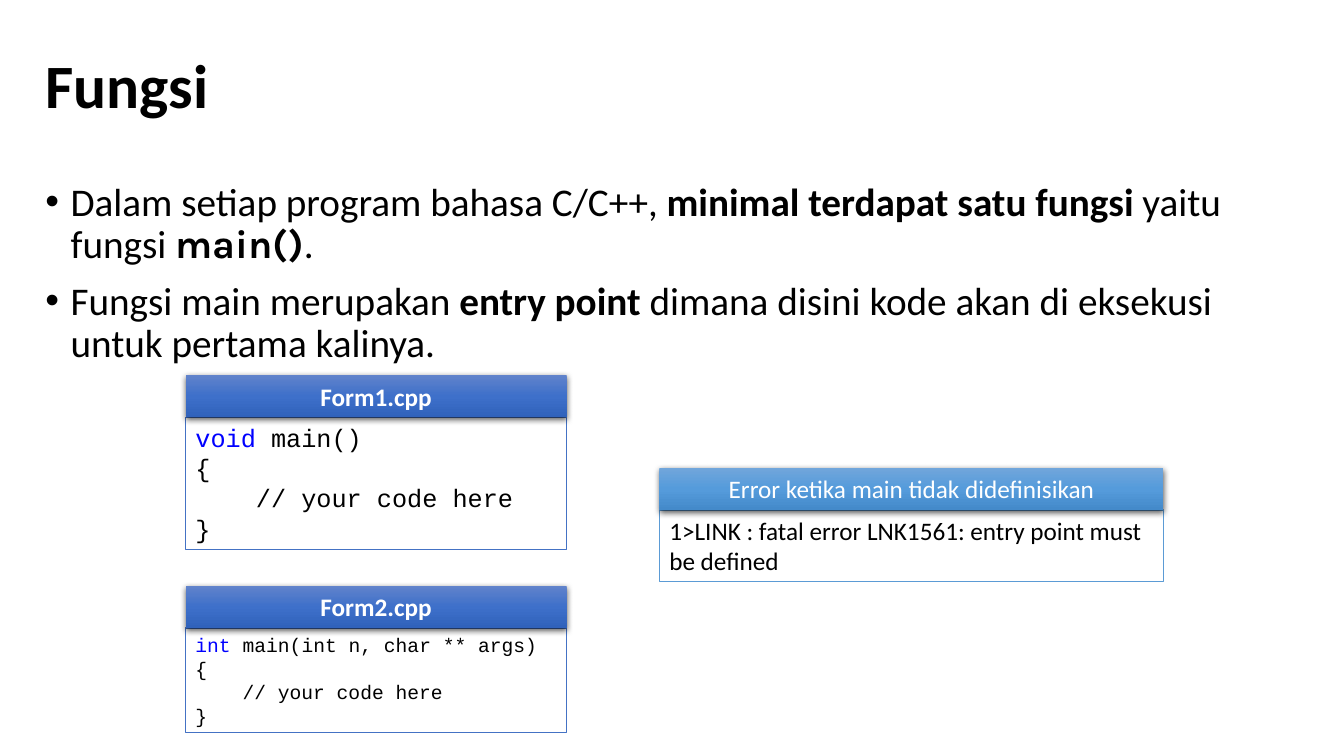
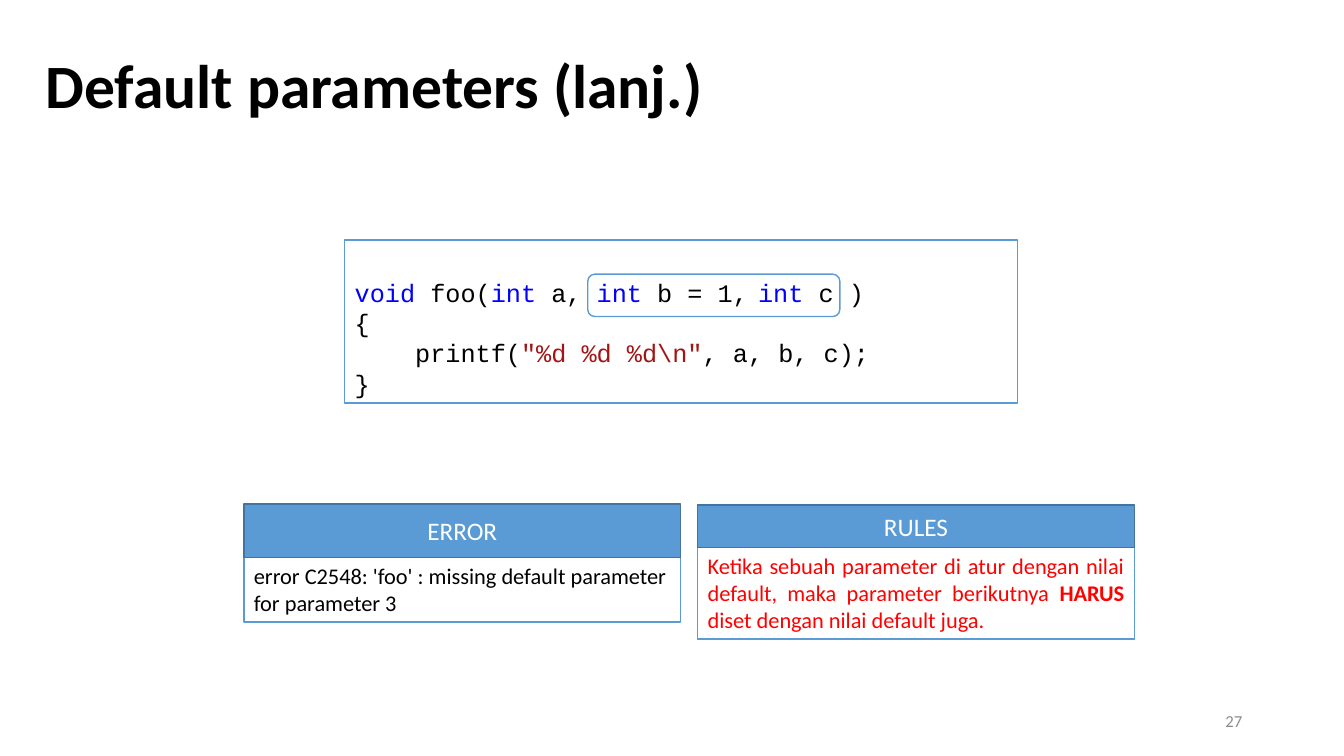
"""Builds two slides on C++ functions: the main function and default parameters."""
from pptx import Presentation
from pptx import util as u
from pptx.dml.color import RGBColor
from pptx.enum import shapes, text
from pptx.oxml import parse_xml
from pptx.oxml.ns import nsdecls, qn

COLORS = {
    "ink": "000000", "white": "FFFFFF", "keyword": "0000FF", "string": "A31515",
    "alert": "FF0000", "number": "8C8C8C", "indigo": "4472C4", "sky": "5B9BD5",
    "sky_edge": "43739E",
}
GRADIENTS = {
    "indigo": ("6183CB", "3E70CA", "3062BB"),
    "sky": ("71A6DB", "559BDB", "448ACA"),
}
STYLES = {
    "plain": {},
    "bold": {"bold": True},
    "mono": {"name": "Karla", "bold": True},
    "code": {"name": "Courier New"},
    "keyword": {"name": "Courier New", "color": "keyword"},
    "string": {"name": "Courier New", "color": "string"},
    "white": {"color": "white"},
    "white_bold": {"color": "white", "bold": True},
    "alert": {"color": "alert"},
    "alert_bold": {"color": "alert", "bold": True},
    "number": {"color": "number"},
}
LEFT, CENTER, RIGHT, JUSTIFY = (
    text.PP_ALIGN.LEFT, text.PP_ALIGN.CENTER, text.PP_ALIGN.RIGHT, text.PP_ALIGN.JUSTIFY)
TOP, MIDDLE, BOTTOM = (
    text.MSO_ANCHOR.TOP, text.MSO_ANCHOR.MIDDLE, text.MSO_ANCHOR.BOTTOM)
RECTANGLE = shapes.MSO_SHAPE.RECTANGLE

MAIN_POINTS = [
    [("Dalam setiap program bahasa C/C++, ", "plain"),
     ("minimal terdapat satu fungsi", "bold"), (" yaitu fungsi ", "plain"),
     ("main()", "mono"), (".", "plain")],
    [("Fungsi main merupakan ", "plain"), ("entry point ", "bold"),
     ("dimana disini kode akan di eksekusi untuk pertama kalinya.", "plain")],
]
CODE_BODY = [[("{", "code")], [("    // your code here", "code")], [("}", "code")]]
MAIN_PANELS = [
    {"title": ("Form1.cpp", "white_bold"), "at": (1.84, 3.72), "width": 3.78,
     "height": 1.31, "color": "indigo", "size": 18,
     "lines": [[("void", "keyword"), (" main()", "code")]] + CODE_BODY},
    {"title": ("Form2.cpp", "white_bold"), "at": (1.84, 5.81), "width": 3.78,
     "height": 1.04, "color": "indigo", "size": 14,
     "lines": [[("int ", "keyword"), ("main(int n, char ** args)", "code")]] + CODE_BODY},
    {"title": ("Error ketika main tidak didefinisikan", "white"), "at": (6.54, 4.64),
     "width": 5, "height": 0.71, "color": "sky", "size": 18,
     "lines": [[("1>LINK : fatal error LNK1561: entry point must be defined", "plain")]]},
]
FOO_CODE = [
    [("void", "keyword"), (" foo(", "code"), ("int", "keyword"), (" a, ", "code"),
     ("int", "keyword"), (" b = 1,\t", "code"), ("int", "keyword"), (" c )", "code")],
    [("{", "code")],
    [("    printf(", "code"), ('"%d %d %d\\n"', "string"), (", a, b, c);", "code")],
    [("}", "code")],
]
FOO_PANELS = [
    {"title": ("ERROR", "white"), "at": (2.42, 5), "width": 4.33, "header": 0.53,
     "height": 0.64, "color": "sky", "size": 16, "flat": True,
     "lines": [[("error C2548: 'foo' : missing default parameter for parameter 3",
                 "plain")]]},
    {"title": ("RULES", "white"), "at": (6.92, 5.01), "width": 4.33, "height": 0.91,
     "color": "sky", "size": 16, "flat": True, "align": JUSTIFY,
     "lines": [[("Ketika sebuah parameter di atur dengan nilai default, maka parameter "
                 "berikutnya ", "alert"), ("HARUS", "alert_bold"),
                (" diset dengan nilai default juga.", "alert")]]},
]


def rgb(name):
    return RGBColor.from_string(COLORS[name])


def place(shape, *lengths):
    for side, length in zip(("left", "top", "width", "height"), lengths):
        setattr(shape, side, u.Inches(length))


def write(shape, lines, size, align=LEFT, anchor=TOP, spacing=None, gap=0, bullet=False):
    frame = shape.text_frame
    frame.word_wrap = True
    frame.auto_size = text.MSO_AUTO_SIZE.NONE
    frame.vertical_anchor = anchor
    for index, spans in enumerate(lines):
        para = frame.paragraphs[0] if index == 0 else frame.add_paragraph()
        para.alignment = align
        para.line_spacing = spacing
        para.space_before = u.Pt(gap if index else 0)
        if bullet:
            properties = para._p.get_or_add_pPr()
            properties.set("marL", str(u.Inches(0.25)))
            properties.set("indent", str(u.Inches(-0.25)))
            properties.append(parse_xml(f'<a:buChar {nsdecls("a")} char="•"/>'))
        for words, style in spans:
            span = para.add_run()
            span.text = words
            look = {"name": "Calibri", "size": u.Pt(size), "bold": False,
                    "color": "ink", **STYLES[style]}
            span.font.color.rgb = rgb(look.pop("color"))
            for key, value in look.items():
                setattr(span.font, key, value)


def add_box(parent, kind, at, fill=None, line=None):
    box = parent.add_shape(kind, *map(u.Inches, at))
    box.shadow.inherit = False
    if fill:
        box.fill.solid()
        box.fill.fore_color.rgb = rgb(fill)
    else:
        box.fill.background()
    if line:
        box.line.color.rgb = rgb(line)
        box.line.width = u.Pt(1)
    else:
        box.line.fill.background()
    return box


def add_gloss(box, stops):
    """Gives a header its vertical gradient and soft shadow."""
    properties = box._element.spPr
    marks = "".join(f'<a:gs pos="{index * 50000}"><a:srgbClr val="{color}"/></a:gs>'
                    for index, color in enumerate(stops))
    properties.replace(properties.find(qn("a:noFill")), parse_xml(
        f'<a:gradFill {nsdecls("a")} rotWithShape="1"><a:gsLst>{marks}</a:gsLst>'
        '<a:lin ang="5400000" scaled="0"/></a:gradFill>'))
    properties.find(qn("a:effectLst")).append(parse_xml(
        f'<a:outerShdw {nsdecls("a")} blurRad="{u.Pt(4.5)}" dist="{u.Pt(1.5)}" '
        'dir="5400000" algn="ctr" rotWithShape="0"><a:srgbClr val="000000">'
        '<a:alpha val="63000"/></a:srgbClr></a:outerShdw>'))


def add_panel(slide, panel):
    parent = slide.shapes.add_group_shape().shapes
    left, top = panel["at"]
    width, header_height = panel["width"], panel.get("header", 0.42)
    flat = panel.get("flat", False)
    body = add_box(parent, RECTANGLE, (left, top + header_height, width, panel["height"]),
                   "white" if flat else None, panel["color"])
    write(body, panel["lines"], panel["size"], panel.get("align", LEFT))
    header = add_box(parent, RECTANGLE, (left, top, width, header_height),
                     panel["color"] if flat else None, "sky_edge" if flat else None)
    if not flat:
        add_gloss(header, GRADIENTS[panel["color"]])
    write(header, [[panel["title"]]], 18, CENTER, MIDDLE)


def add_slide(deck, layout, title, panels):
    slide = deck.slides.add_slide(deck.slide_layouts.get_by_name(layout))
    place(slide.shapes.title, 0.35, 0.15, 10.98, 1.45)
    write(slide.shapes.title, [[(title, "bold")]], 44, anchor=MIDDLE, spacing=0.9)
    for panel in panels:
        add_panel(slide, panel)
    return slide


def main():
    deck = Presentation()
    deck.slide_width, deck.slide_height = u.Inches(13.33), u.Inches(7.5)

    slide = add_slide(deck, "Title and Content", "Fungsi", MAIN_PANELS)
    points = slide.placeholders[1]
    place(points, 0.35, 1.76, 12.66, 5.05)
    write(points, MAIN_POINTS, 28, spacing=0.9, gap=10, bullet=True)

    slide = add_slide(deck, "Title Only", "Default parameters (lanj.)", FOO_PANELS)
    code = add_box(slide.shapes, RECTANGLE, (3.42, 2.38, 6.67, 1.62), line="sky")
    write(code, FOO_CODE, 18, anchor=BOTTOM)
    add_box(slide.shapes, shapes.MSO_SHAPE.ROUNDED_RECTANGLE, (5.83, 2.72, 2.5, 0.42),
            line="sky")
    number = slide.shapes.add_textbox(*map(u.Inches, (9.42, 6.95, 3, 0.4)))
    write(number, [[("27", "number")]], 12, RIGHT, MIDDLE)

    deck.save("out.pptx")


if __name__ == "__main__":
    main()
